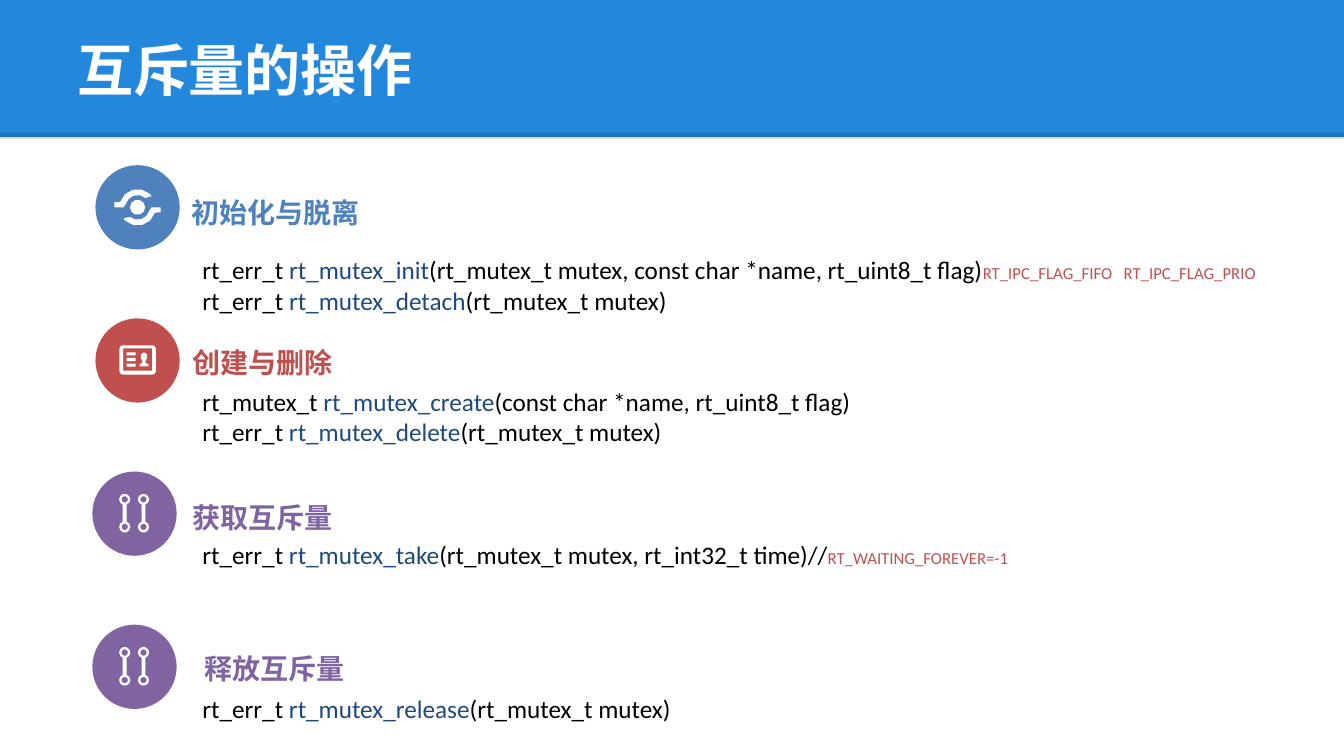
from math import ceil, cos, radians, sin
from typing import NamedTuple

from lxml.etree import SubElement
from pptx import Presentation
from pptx.dml.color import RGBColor
from pptx.enum.shapes import MSO_CONNECTOR as CONNECTOR, MSO_SHAPE as SHAPE
from pptx.enum.text import MSO_ANCHOR as ANCHOR
from pptx.oxml.ns import qn
from pptx.util import Pt

WIDTH, HEIGHT = 960, 540
BLACK, WHITE, NAVY = "000000", "FFFFFF", "1F497D"
BLUE, RED, PURPLE = "4F81BD", "C0504D", "8064A2"
DISC = 60.2
FIRST_TOP, STEP = 118, 109.4


class Section(NamedTuple):
    heading: str
    color: str
    icon: list
    disc_left: float
    heading_left: float
    heading_drop: float
    code_drop: float
    code_size: tuple
    code: list


def rgb(color):
    return RGBColor.from_string(color)


def paint(shape, color):
    shape.shadow.inherit = False
    shape.fill.solid()
    shape.fill.fore_color.rgb = rgb(color)
    shape.line.fill.background()


def add_run(paragraph, text, size=18, color=BLACK, font="Calibri", bold=False):
    run = paragraph.add_run()
    run.text = text
    run.font.size = Pt(size)
    run.font.name = font
    run.font.bold = bold
    run.font.color.rgb = rgb(color)


def add_frame(slide, box, insets=(7.2, 3.6), anchor=ANCHOR.TOP, wrap=True):
    frame = slide.shapes.add_textbox(*map(Pt, box)).text_frame
    frame.word_wrap = wrap
    frame.vertical_anchor = anchor
    frame.margin_left = frame.margin_right = Pt(insets[0])
    frame.margin_top = frame.margin_bottom = Pt(insets[1])
    return frame


def add_tab_stop(paragraph, position):
    properties = paragraph._p.get_or_add_pPr()
    stops = SubElement(properties, qn("a:tabLst"))
    SubElement(stops, qn("a:tab"), pos=str(Pt(position)), algn="l")


def arc(x, y, radius, start=0, end=360):
    steps = ceil(abs(end - start) / 36)
    angles = [start + (end - start) * step / steps for step in range(steps + 1)]
    return [(x + radius * cos(radians(a)), y + radius * sin(radians(a))) for a in angles]


def circle(x, y, radius):
    return arc(x, y, radius)[:-1]


def bar(left, top, right, bottom):
    return [(left, top), (right, top), (right, bottom), (left, bottom)]


def rounded(left, top, right, bottom, radius):
    return (arc(right - radius, bottom - radius, radius, 0, 90)
            + arc(left + radius, bottom - radius, radius, 90, 180)
            + arc(left + radius, top + radius, radius, 180, 270)
            + arc(right - radius, top + radius, radius, 270, 360))


def orbit_icon():
    swoosh = (arc(0, 0, 13, 197, 312) + [(10, -8)]
              + arc(0, 0, 8.8, 310, 195) + [(-10, 0), (-16.5, 0), (-16.5, -3.6)])
    return [circle(0, 0, 5.4), swoosh, [(-x, -y) for x, y in swoosh]]


def card_icon():
    frame = [rounded(-13, -10.8, 13, 10.1, 2.5), bar(-10.4, -8.6, 10.4, 7.2)]
    lines = [bar(-7.9, top, -1.4, top + 2.2) for top in (-5.8, -1.8, 2.2)]
    person = [(1.4, 4.3), (1.4, 2.9), (3.6, 1.4), (2.2, -2.2), (2.5, -4.5), (4.6, -5.8),
              (6.7, -4.5), (6.9, -2.2), (5.3, 1.4), (7.9, 2.9), (7.9, 4.3)]
    return frame + lines + [person]


def branch_icon():
    contours = []
    top, bottom = -10.2, 9.5
    for x in (-7, 6.4):
        contours += [circle(x, y, radius) for y in (top, bottom) for radius in (4, 2.3)]
        contours.append(bar(x - 1.4, top + 3.75, x + 1.4, bottom - 3.75))
    return contours


def add_badge(slide, contours, color, left, top):
    shapes = slide.shapes.add_group_shape().shapes
    paint(shapes.add_shape(SHAPE.OVAL, Pt(left), Pt(top), Pt(DISC), Pt(DISC)), color)
    center_x, center_y = left + DISC / 2, top + DISC / 2
    placed = [[(Pt(center_x + x), Pt(center_y + y)) for x, y in contour]
              for contour in contours]
    builder = shapes.build_freeform(*placed[0][0])
    for index, contour in enumerate(placed):
        if index:
            builder.move_to(*contour[0])
        builder.add_line_segments(contour[1:], close=True)
    paint(builder.convert_to_shape(), WHITE)


def add_header(slide, left, top, width, height):
    band = slide.shapes.add_shape(SHAPE.RECTANGLE, *map(Pt, (left, top, width, height)))
    paint(band, "2388DB")
    edge = Pt(top + height - 0.7)
    rule = slide.shapes.add_connector(CONNECTOR.STRAIGHT, Pt(left), edge, Pt(left + width), edge)
    rule.line.width = Pt(4.5)
    rule.line.color.rgb = rgb(BLACK)
    properties = rule._element.spPr
    SubElement(next(properties.iter(qn("a:srgbClr"))), qn("a:alpha"), val="15000")
    SubElement(properties, qn("a:effectLst"))
    frame = add_frame(slide, (left + 48, top + 4.3, width - 96, 90), anchor=ANCHOR.MIDDLE)
    add_run(frame.paragraphs[0], "互斥量的操作", size=40, color=WHITE, font="Arial", bold=True)


def add_section(slide, section, left, top):
    add_badge(slide, section.icon, section.color, left + section.disc_left, top)

    heading_box = (left + section.heading_left, top + section.heading_drop, 265, 29.5)
    heading = add_frame(slide, heading_box, insets=(8.64, 4.32), wrap=False)
    add_run(heading.paragraphs[0], section.heading, size=20, color=section.color, bold=True)

    code_box = (left + 71.5, top + section.code_drop, *section.code_size)
    frame = add_frame(slide, code_box)
    for index, (kind, name, arguments, note) in enumerate(section.code):
        paragraph = frame.add_paragraph() if index else frame.paragraphs[0]
        if "\t" in note:
            add_tab_stop(paragraph, 658)
        add_run(paragraph, kind + " ")
        add_run(paragraph, name, color=NAVY)
        add_run(paragraph, arguments)
        if note:
            add_run(paragraph, note, size=12, color=RED)


SECTIONS = [
    Section("初始化与脱离", BLUE, orbit_icon(), 2.2, 62.2, 17.4, 60.3, (790, 51), [
        ("rt_err_t", "rt_mutex_init", "(rt_mutex_t mutex, const char *name, rt_uint8_t flag)",
         "RT_IPC_FLAG_FIFO\tRT_IPC_FLAG_PRIO"),
        ("rt_err_t", "rt_mutex_detach", "(rt_mutex_t mutex)", "")]),
    Section("创建与删除", RED, card_icon(), 2.2, 62.9, 15.2, 44.8, (729, 51), [
        ("rt_mutex_t", "rt_mutex_create", "(const char *name, rt_uint8_t flag)", ""),
        ("rt_err_t", "rt_mutex_delete", "(rt_mutex_t mutex)", "")]),
    Section("获取互斥量", PURPLE, branch_icon(), 0, 62.9, 16.7, 44.9, (729, 43), [
        ("rt_err_t", "rt_mutex_take", "(rt_mutex_t mutex, rt_int32_t time)//",
         "RT_WAITING_FOREVER=-1")]),
    Section("释放互斥量", PURPLE, branch_icon(), 0, 71.5, 14.6, 45.6, (729, 29), [
        ("rt_err_t", "rt_mutex_release", "(rt_mutex_t mutex)", "")]),
]


def main():
    presentation = Presentation()
    presentation.slide_width, presentation.slide_height = Pt(WIDTH), Pt(HEIGHT)
    slide = presentation.slides.add_slide(presentation.slide_layouts[6])
    add_header(slide, 0, 0, WIDTH, 97.7)
    for index, section in enumerate(SECTIONS):
        add_section(slide, section, 66, FIRST_TOP + index * STEP)
    presentation.save("out.pptx")


if __name__ == "__main__":
    main()
